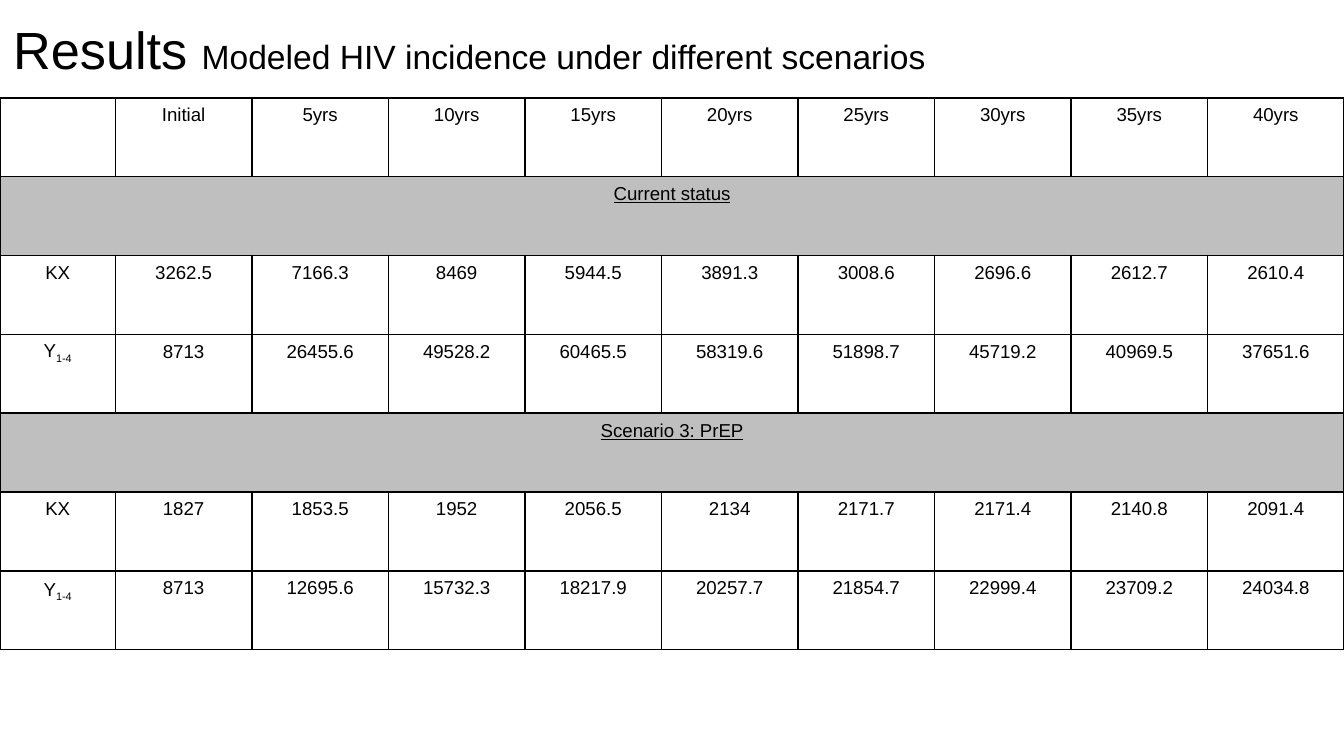
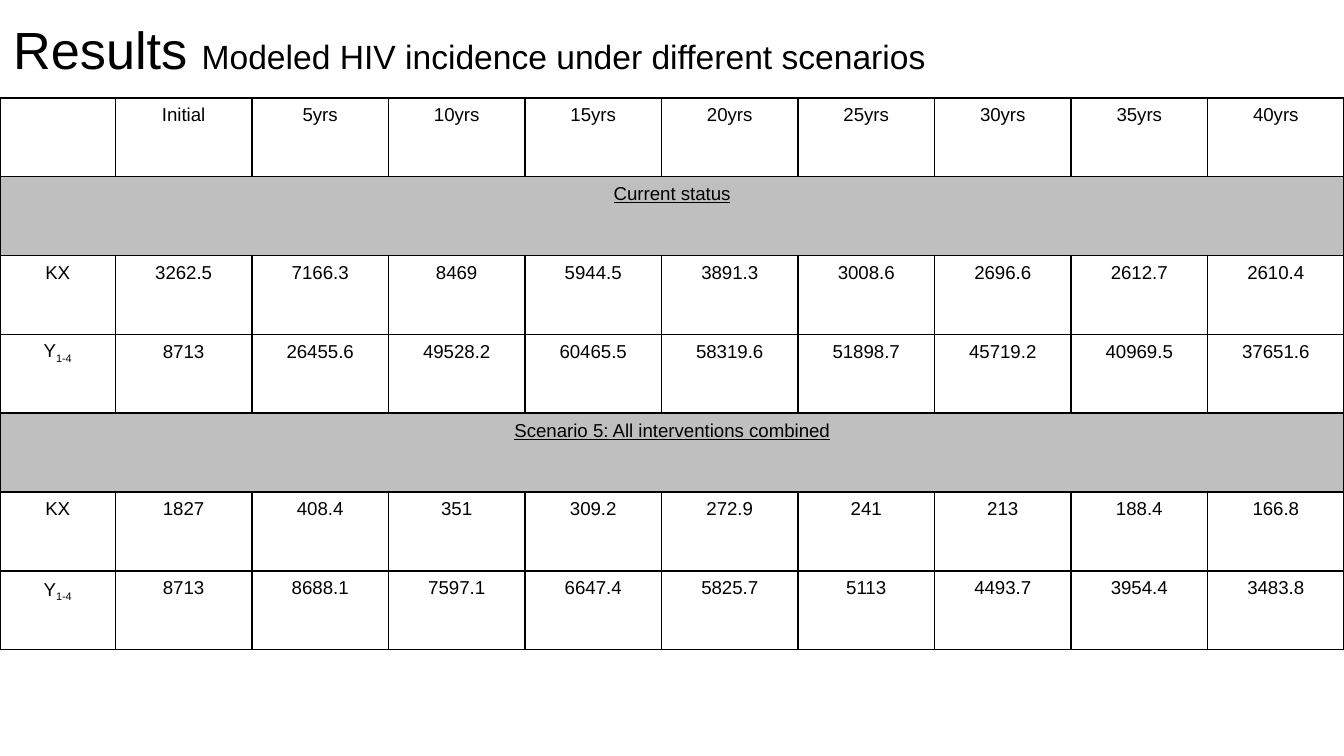
from dataclasses import dataclass

from lxml import etree
from pptx import Presentation
from pptx import util as u
from pptx.dml.color import RGBColor
from pptx.enum import text
from pptx.oxml import ns


@dataclass(frozen=True)
class Theme:
    font: str = "Arial"
    ink: str = "000000"
    band: str = "BFBFBF"
    title_size: int = 28
    subtitle_size: int = 18
    cell_size: int = 10
    border_pt: int = 1


THEME = Theme()
SLIDE_W, SLIDE_H = 25.4, 14.29
TITLE_H = 1.85
LABEL_W = 2.18
ROW_H = 1.49

PERIODS = ["Initial"] + [f"{years}yrs" for years in range(5, 45, 5)]
CURRENT = (
    "Current status",
    "3262.5 7166.3 8469 5944.5 3891.3 3008.6 2696.6 2612.7 2610.4",
    "8713 26455.6 49528.2 60465.5 58319.6 51898.7 45719.2 40969.5 37651.6",
)
SCENARIOS = [
    (
        "Scenario 3: PrEP",
        "1827 1853.5 1952 2056.5 2134 2171.7 2171.4 2140.8 2091.4",
        "8713 12695.6 15732.3 18217.9 20257.7 21854.7 22999.4 23709.2 24034.8",
    ),
    (
        "Scenario 5: All interventions combined",
        "1827 408.4 351 309.2 272.9 241 213 188.4 166.8",
        "8713 8688.1 7597.1 6647.4 5825.7 5113 4493.7 3954.4 3483.8",
    ),
]


def add_run(p, content, size=THEME.cell_size, underline=False, baseline=0):
    r = p.add_run()
    r.text = content
    r.font.name = THEME.font
    r.font.size = u.Pt(size)
    r.font.color.rgb = RGBColor.from_string(THEME.ink)
    r.font.underline = underline
    if baseline:
        r.font._element.set("baseline", str(baseline * 1000))


def set_borders(cell):
    tc_pr = cell._tc.get_or_add_tcPr()
    for side in ("a:lnL", "a:lnR", "a:lnT", "a:lnB"):
        ln = etree.SubElement(tc_pr, ns.qn(side), w=str(u.Pt(THEME.border_pt)))
        fill = etree.SubElement(ln, ns.qn("a:solidFill"))
        etree.SubElement(fill, ns.qn("a:srgbClr"), val=THEME.ink)


def format_cell(cell):
    cell.margin_left = cell.margin_right = u.Cm(0.18)
    cell.margin_top = cell.margin_bottom = u.Cm(0.25)
    set_borders(cell)
    cell.fill.background()


def fill_cell(cell, content, subscript="", underline=False,
              spacing=0.64, before=12, after=12):
    p = cell.text_frame.paragraphs[0]
    p.alignment = text.PP_ALIGN.CENTER
    p.line_spacing = spacing
    p.space_before, p.space_after = u.Pt(before), u.Pt(after)
    add_run(p, content, underline=underline)
    if subscript:
        add_run(p, subscript, baseline=-25)


def fill_section(table, top, section, **stage_format):
    name, kx, y = section
    band = table.cell(top, 0)
    band.merge(table.cell(top, len(PERIODS)))
    fill_cell(band, name, underline=True)
    band.fill.solid()
    band.fill.fore_color.rgb = RGBColor.from_string(THEME.band)
    fill_cell(table.cell(top + 1, 0), "KX")
    fill_cell(table.cell(top + 2, 0), "Y", subscript="1-4", **stage_format)
    for row, values in enumerate((kx, y), top + 1):
        for col, value in enumerate(values.split(), 1):
            fill_cell(table.cell(row, col), value)


def add_title(s, left, top, width, height):
    sp = s.shapes.add_textbox(u.Cm(left), u.Cm(top), u.Cm(width), u.Cm(height))
    tf = sp.text_frame
    tf.word_wrap = True
    tf.vertical_anchor = text.MSO_ANCHOR.MIDDLE
    tf.margin_left = tf.margin_right = u.Cm(0.25)
    tf.margin_top = tf.margin_bottom = u.Cm(0.25)
    p = tf.paragraphs[0]
    add_run(p, "Results ", size=THEME.title_size)
    add_run(p, "Modeled HIV incidence under different scenarios",
            size=THEME.subtitle_size)


def add_incidence_table(s, left, top, width, row_height, scenario):
    rows = 1 + len(CURRENT) + len(scenario)
    table = s.shapes.add_table(
        rows, len(PERIODS) + 1, u.Cm(left), u.Cm(top),
        u.Cm(width), u.Cm(row_height * rows)).table
    table.first_row = table.horz_banding = False
    for row in table.rows:
        row.height = u.Cm(row_height)
    for col, column in enumerate(table.columns):
        column.width = u.Cm((width - LABEL_W) / len(PERIODS) if col else LABEL_W)
    for cell in table.iter_cells():
        format_cell(cell)
    for col, period in enumerate(PERIODS, 1):
        fill_cell(table.cell(0, col), period)
    fill_section(table, 1, CURRENT, spacing=0.54, before=0, after=10)
    fill_section(table, 1 + len(CURRENT), scenario)


def add_results_slide(prs, scenario):
    s = prs.slides.add_slide(prs.slide_layouts[6])
    add_incidence_table(s, 0, TITLE_H, SLIDE_W, ROW_H, scenario)
    add_title(s, 0, 0, SLIDE_W, TITLE_H)


def main():
    prs = Presentation()
    prs.slide_width, prs.slide_height = u.Cm(SLIDE_W), u.Cm(SLIDE_H)
    for scenario in SCENARIOS:
        add_results_slide(prs, scenario)
    prs.save("out.pptx")


if __name__ == "__main__":
    main()
